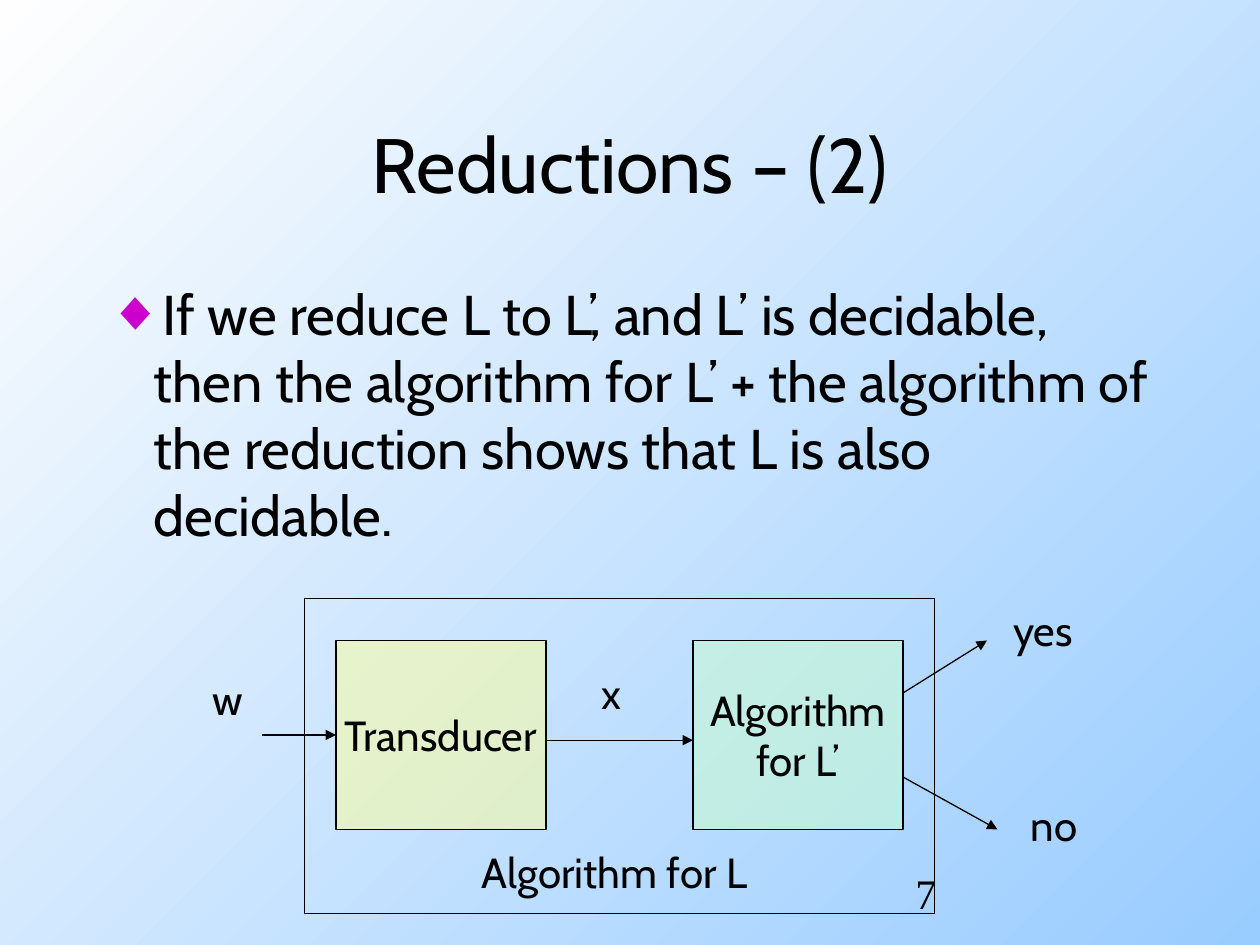
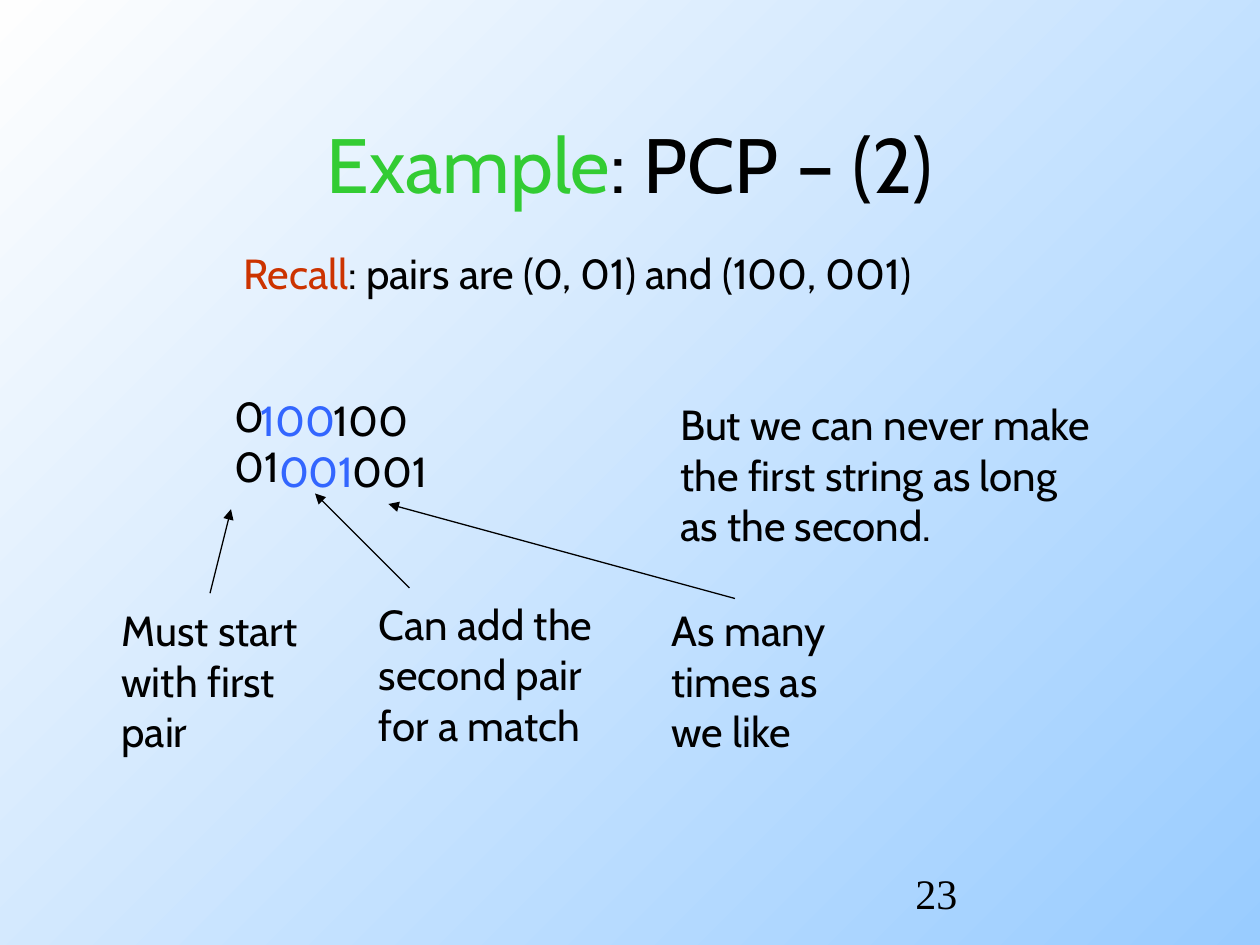
from dataclasses import dataclass

from lxml import etree
from pptx import Presentation
from pptx.dml.color import RGBColor
from pptx.enum.shapes import MSO_CONNECTOR, MSO_SHAPE
from pptx.enum.text import MSO_ANCHOR, MSO_AUTO_SIZE, PP_ALIGN
from pptx.oxml.ns import qn
from pptx.util import Inches, Pt

STRAIGHT = MSO_CONNECTOR.STRAIGHT
RECTANGLE = MSO_SHAPE.RECTANGLE
TOP, MIDDLE = MSO_ANCHOR.TOP, MSO_ANCHOR.MIDDLE
LEFT, CENTER = PP_ALIGN.LEFT, PP_ALIGN.CENTER
LEFT_SIDE = 1
TITLE_AND_BODY, TITLE_ONLY = 1, 5
COLUMNS, ROWS = 120, 90
CELL = Inches(10) / COLUMNS


@dataclass(frozen=True)
class Theme:
    """Colours, fonts and type sizes of the deck."""
    ink: str = "000000"
    sky: str = "99CCFF"
    haze: str = "FEFEFE"
    bullet: str = "CC00CC"
    example: str = "33CC33"
    recall: str = "CC3300"
    second_pair: str = "3366FF"
    transducer: str = "FFFF99"
    decider: str = "CCFFCC"
    font: str = "Cabin"
    number_font: str = "Times New Roman"
    title_size: int = 44
    body_size: int = 32
    label_size: int = 24
    line_width: float = 0.75


THEME = Theme()


def cells(*counts):
    """Turn counts of grid cells into lengths."""
    return [round(count * CELL) for count in counts]


def rgb(code):
    """Turn a hex code into a colour."""
    return RGBColor.from_string(code)


def write(frame, lines, size=THEME.label_size, font=THEME.font, align=LEFT, anchor=TOP, wrap=False):
    """Fill a text frame; a line is a string or a list of (text, colour) pairs."""
    frame.word_wrap = wrap
    frame.auto_size = MSO_AUTO_SIZE.NONE
    frame.vertical_anchor = anchor
    for index, line in enumerate(lines):
        paragraph = frame.paragraphs[0] if index == 0 else frame.add_paragraph()
        paragraph.alignment = align
        paragraph.font.size = Pt(size)
        paragraph.font.name = font
        paragraph.font.color.rgb = rgb(THEME.ink)
        for words, colour in [(line, None)] if isinstance(line, str) else line:
            run = paragraph.add_run()
            run.text = words
            if colour:
                run.font.color.rgb = rgb(colour)


def place(shape, left, top, width, height):
    """Move a placeholder to its cells of the grid."""
    shape.left, shape.top, shape.width, shape.height = cells(left, top, width, height)


def set_background(master):
    """Give every slide the diagonal sky gradient."""
    fill = master.background.fill
    fill.gradient()
    fill.gradient_angle = 135
    for stop, colour, position in zip(fill.gradient_stops, (THEME.sky, THEME.haze), (0, 1)):
        stop.color.rgb = rgb(colour)
        stop.position = position


def add_titled_slide(deck, layout, title, number):
    """Add a slide with its title and page number."""
    slide = deck.slides.add_slide(deck.slide_layouts[layout])
    place(slide.shapes.title, 9, 8, 102, 15)
    write(slide.shapes.title.text_frame, [title], THEME.title_size, align=CENTER, anchor=MIDDLE, wrap=True)
    add_label(slide, (86, 82, 25, 6), str(number), font=THEME.number_font, wrap=True)
    return slide


def add_statement(slide, statement):
    """Put one bulleted statement into the body placeholder."""
    body = slide.placeholders[1]
    place(body, 9, 26, 102, 54)
    write(body.text_frame, [statement], THEME.body_size, wrap=True)
    paragraph = body.text_frame.paragraphs[0]
    paragraph.space_before = Pt(8)
    properties = paragraph._p.get_or_add_pPr()
    properties.set("marL", str(Inches(0.37)))
    properties.set("indent", str(-Inches(0.37)))
    colour = etree.Element(qn("a:buClr"))
    etree.SubElement(colour, qn("a:srgbClr"), val=THEME.bullet)
    mark = etree.Element(qn("a:buChar"), char="◆")
    defaults = properties.find(qn("a:defRPr"))
    for element in (colour, mark):
        defaults.addprevious(element)


def add_label(slide, area, *lines, **style):
    """Add free text on the grid."""
    label = slide.shapes.add_textbox(*cells(*area))
    write(label.text_frame, lines, **style)
    return label


def add_pair_column(slide, left, colour):
    """Stack the two halves of the pair (100, 001), the lower one shifted."""
    pair = add_label(slide, (left, 37, 11.3, 10.8), [("100", colour)], [("001", colour)])
    lower = pair.text_frame.paragraphs[1]
    lower._p.get_or_add_pPr().set("marL", str(Inches(0.15)))


def add_box(slide, area, *lines, fill=None):
    """Add an outlined rectangle, half transparent when filled."""
    box = slide.shapes.add_shape(RECTANGLE, *cells(*area))
    box.shadow.inherit = False
    box.line.color.rgb = rgb(THEME.ink)
    box.line.width = Pt(THEME.line_width)
    if fill:
        box.fill.solid()
        box.fill.fore_color.rgb = rgb(fill)
        tint = box.fill._xPr.find(qn("a:solidFill"))[0]
        etree.SubElement(tint, qn("a:alpha"), val="50000")
    else:
        box.fill.background()
    if lines:
        write(box.text_frame, lines, align=CENTER, anchor=MIDDLE)
    return box


def add_arrow(slide, start, end, target=None):
    """Add an arrow, joined to the left side of its target if given."""
    arrow = slide.shapes.add_connector(STRAIGHT, *cells(*start, *end))
    if target:
        arrow.end_connect(target, LEFT_SIDE)
    arrow.line.color.rgb = rgb(THEME.ink)
    arrow.line.width = Pt(THEME.line_width)
    etree.SubElement(arrow.line._get_or_add_ln(), qn("a:tailEnd"), type="triangle")
    etree.SubElement(arrow._element.spPr, qn("a:effectLst"))


def build_reduction(deck):
    """Show how a reduction turns one algorithm into another."""
    slide = add_titled_slide(deck, TITLE_AND_BODY, "Reductions – (2)", 7)
    add_statement(slide, "If we reduce L to L’, and L’ is decidable, then the algorithm for L’ + "
                         "the algorithm of the reduction shows that L is also decidable.")
    transducer = add_box(slide, (32, 61, 20, 18), "Transducer", fill=THEME.transducer)
    add_box(slide, (66, 61, 20, 18), "Algorithm", "for L’", fill=THEME.decider)
    add_box(slide, (29, 57, 60, 30))
    add_arrow(slide, (25, 70), (32, 70), transducer)
    for start, end in (
        ((52, 70.5), (66, 70.5)),
        ((86, 66), (94, 61)),
        ((86, 74), (95, 79)),
    ):
        add_arrow(slide, start, end)
    for words, left, top, width in (
        ("w", 19.1, 63.6, 5.5),
        ("x", 56.1, 63, 4.4),
        ("yes", 95.3, 57, 8.6),
        ("no", 97, 75.6, 7.3),
        ("Algorithm for L", 44.7, 80, 30.8),
    ):
        add_label(slide, (left, top, width, 6), words)


def build_example(deck):
    """Show why the two strings never reach the same length."""
    title = [("Example", THEME.example), (": PCP – (2)", None)]
    slide = add_titled_slide(deck, TITLE_ONLY, title, 23)
    add_label(slide, (22, 23, 71.9, 6),
              [("Recall", THEME.recall), (": pairs are (0, 01) and (100, 001)", None)])
    add_label(slide, (21.2, 36.6, 7, 10.8), "0", "01")
    add_pair_column(slide, 23.6, THEME.second_pair)
    add_pair_column(slide, 30.6, THEME.ink)
    for area, lines in (
        ((10.4, 57, 21.6, 15.6), ("Must start", "with first", "pair")),
        ((34.9, 56.4, 25.1, 15.6), ("Can add the", "second pair", "for a match")),
        ((62.8, 57, 19, 15.6), ("As many", "times as", "we like")),
        ((63.6, 37.4, 46.1, 15.6), ("But we can never make", "the first string as long", "as the second.")),
    ):
        add_label(slide, area, *lines)
    for start, end in (
        ((20, 56.5), (22, 48.5)),
        ((39, 56), (30, 47)),
        ((70, 57), (37, 48)),
    ):
        add_arrow(slide, start, end)


def main():
    """Build and save the deck."""
    deck = Presentation()
    deck.slide_width, deck.slide_height = cells(COLUMNS, ROWS)
    set_background(deck.slide_master)
    build_reduction(deck)
    build_example(deck)
    deck.save("out.pptx")


if __name__ == "__main__":
    main()
